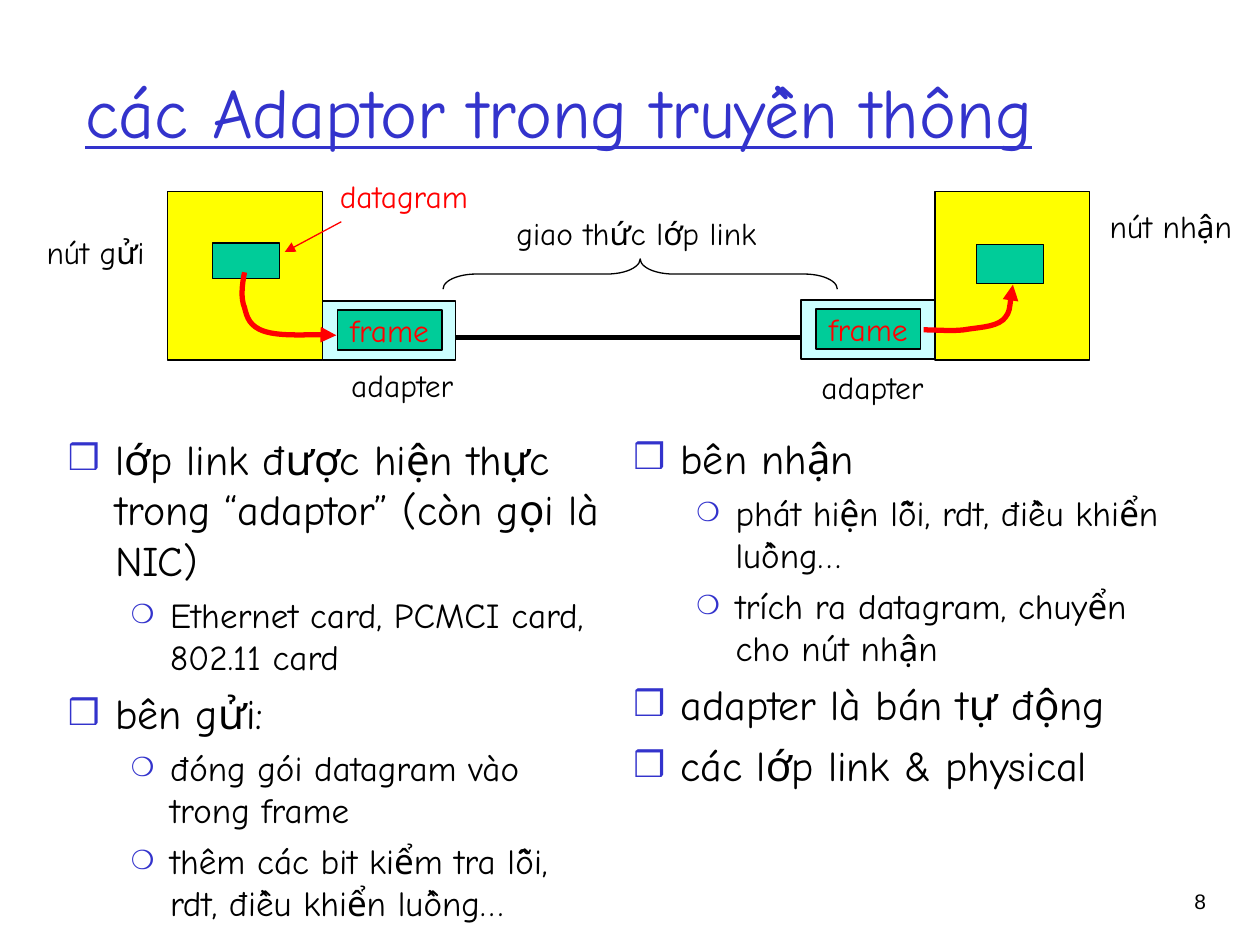
from dataclasses import dataclass

from lxml.etree import SubElement
from pptx import Presentation
from pptx.dml.color import RGBColor
from pptx.enum.shapes import MSO_CONNECTOR as Connector, MSO_SHAPE as Shape
from pptx.enum.text import MSO_ANCHOR as Anchor, MSO_AUTO_SIZE as AutoSize, PP_ALIGN as Align
from pptx.oxml.ns import qn
from pptx.util import Cm, Pt

COLORS = {
    "blue": "3333CC", "black": "000000", "red": "FF0000",
    "yellow": "FFFF00", "cyan": "CCFFFF", "green": "00CC99",
}
FONT = "Comic Neue"


@dataclass
class Area:
    left: float
    top: float
    width: float
    height: float

    def lengths(self) -> list:
        return [Cm(v) for v in (self.left, self.top, self.width, self.height)]


@dataclass
class Label:
    text: str
    area: Area
    color: str = "black"


@dataclass
class Level:
    size: int
    margin: float
    hanging: float
    before: int
    mark: str
    mark_percent: int


LEVELS = [Level(24, 0.95, 0.95, 6, "❒", 85), Level(20, 2.06, 0.79, 5, "❍", 75)]


def rgb(name: str) -> RGBColor:
    return RGBColor.from_string(COLORS[name])


def add_run(para, text: str, size: int, color: str, font: str = FONT):
    span = para.add_run()
    span.text = text
    span.font.size = Pt(size)
    span.font.name = font
    span.font.color.rgb = rgb(color)
    return span


def add_box(page, area: Area, wrap: bool = True):
    frame = page.shapes.add_textbox(*area.lengths()).text_frame
    frame.word_wrap = wrap
    return frame


def add_label(page, label: Label) -> None:
    frame = add_box(page, label.area, wrap=False)
    frame.auto_size = AutoSize.SHAPE_TO_FIT_TEXT
    add_run(frame.paragraphs[0], label.text, 18, label.color)


def add_rect(page, area: Area, fill: str):
    rect = page.shapes.add_shape(Shape.RECTANGLE, *area.lengths())
    rect.shadow.inherit = False
    rect.fill.solid()
    rect.fill.fore_color.rgb = rgb(fill)
    style_line(rect, "black", 0.75)
    return rect


def style_line(shape, color: str, width: float, arrow: bool = False) -> None:
    shape.line.color.rgb = rgb(color)
    shape.line.width = Pt(width)
    if arrow:
        SubElement(shape.line._get_or_add_ln(), qn("a:tailEnd"), type="triangle")


def add_line(page, start: tuple, end: tuple, color: str, width: float,
             arrow: bool = False) -> None:
    ends = [Cm(v) for v in start + end]
    line = page.shapes.add_connector(Connector.STRAIGHT, *ends)
    style_line(line, color, width, arrow)
    SubElement(line._element.spPr, qn("a:effectLst"))


def add_curve_arrow(page, points: list) -> None:
    """Draw Bezier pieces: a start, then two controls and an end for each."""
    start, *rest = [(Cm(x), Cm(y)) for x, y in points]
    builder = page.shapes.build_freeform(*start)
    builder.add_line_segments(rest, close=False)
    curve = builder.convert_to_shape()
    curve.shadow.inherit = False
    curve.fill.background()
    style_line(curve, "red", 3, arrow=True)
    # Join every three straight segments into one cubic piece
    outline = next(curve._element.iter(qn("a:moveTo"))).getparent()
    segments = outline.findall(qn("a:lnTo"))
    for first in range(0, len(segments), 3):
        cubic = SubElement(outline, qn("a:cubicBezTo"))
        for segment in segments[first:first + 3]:
            cubic.append(segment[0])
            outline.remove(segment)


def add_adapter(page, left: float, top: float) -> None:
    add_rect(page, Area(left, top, 2.69, 1.19), "cyan")
    rect = add_rect(page, Area(left + 0.3, top + 0.18, 2.11, 0.81), "green")
    frame = rect.text_frame
    frame.word_wrap = False
    frame.vertical_anchor = Anchor.MIDDLE
    frame.paragraphs[0].alignment = Align.CENTER
    add_run(frame.paragraphs[0], "frame", 18, "red")


def add_node(page, left: float, datagram: Area) -> None:
    add_rect(page, Area(left, 3.86, 3.12, 3.4), "yellow")
    add_rect(page, datagram, "green")


def add_bullets(page, area: Area, items: list) -> None:
    frame = add_box(page, area)
    for index, (depth, text) in enumerate(items):
        level = LEVELS[depth]
        para = frame.add_paragraph() if index else frame.paragraphs[0]
        para.level = depth
        props = para._p.get_or_add_pPr()
        props.set("marL", str(Cm(level.margin)))
        props.set("indent", str(-Cm(level.hanging)))
        mark_color = SubElement(props, qn("a:buClr"))
        SubElement(mark_color, qn("a:srgbClr"), val=COLORS["blue"])
        SubElement(props, qn("a:buSzPct"), val=str(level.mark_percent * 1000))
        SubElement(props, qn("a:buFont"), typeface="Arial")
        SubElement(props, qn("a:buChar"), char=level.mark)
        if index:
            para.space_before = Pt(level.before)
        add_run(para, text, level.size, "black")


def main() -> None:
    deck = Presentation()
    deck.slide_width, deck.slide_height = Cm(25.4), Cm(19.05)
    page = deck.slides.add_slide(deck.slide_layouts[6])

    # Title
    title = add_box(page, Area(1.47, 0.64, 21.59, 3.18))
    title.vertical_anchor = Anchor.MIDDLE
    heading = add_run(title.paragraphs[0], "các Adaptor trong truyền thông", 40, "blue")
    heading.font.underline = True

    # Bullet columns
    add_bullets(page, Area(1.12, 8.61, 11.33, 10.44), [
        (0, "lớp link được hiện thực trong “adaptor” (còn gọi là NIC)"),
        (1, "Ethernet card, PCMCI card, 802.11 card"),
        (0, "bên gửi:"),
        (1, "đóng gói datagram vào trong frame"),
        (1, "thêm các bit kiểm tra lỗi, rdt, điều khiển luồng…"),
    ])
    add_bullets(page, Area(12.52, 8.59, 11.35, 8.31), [
        (0, "bên nhận"),
        (1, "phát hiện lỗi, rdt, điều khiển luồng…"),
        (1, "trích ra datagram, chuyển cho nút nhận"),
        (0, "adapter là bán tự động"),
        (0, "các lớp link & physical"),
    ])

    # Nodes, adapters and the link between them
    add_adapter(page, 6.5, 6.07)
    add_line(page, (9.17, 6.81), (16.18, 6.81), "black", 3)
    add_node(page, 18.85, Area(19.69, 4.93, 1.35, 0.79))
    add_node(page, 3.38, Area(4.29, 4.9, 1.35, 0.71))
    add_adapter(page, 16.15, 6.05)

    # Brace over the link
    brace = page.shapes.add_shape(Shape.LEFT_BRACE, *Area(12.6, 1.55, 0.61, 7.95).lengths())
    brace.rotation = 90
    brace.adjustments[0] = 1.1
    brace.shadow.inherit = False
    brace.fill.background()
    style_line(brace, "black", 0.75)

    # Arrows
    add_line(page, (6.88, 4.47), (5.74, 5.08), "red", 0.75, arrow=True)
    add_curve_arrow(page, [
        (4.93, 5.49), (4.88, 5.74), (4.85, 6.02), (4.93, 6.2), (4.98, 6.4),
        (5.03, 6.58), (5.33, 6.68), (5.64, 6.78), (6.53, 6.73), (6.78, 6.76)])
    add_curve_arrow(page, [
        (18.62, 6.65), (18.9, 6.65), (19.18, 6.68), (19.43, 6.65), (19.71, 6.6),
        (20.04, 6.6), (20.22, 6.45), (20.37, 6.3), (20.4, 5.84), (20.42, 5.74)])

    # Diagram labels
    for label in (
        Label("nút gửi", Area(0.69, 4.57, 2.49, 1.02)),
        Label("nút nhận", Area(22.12, 4.04, 2.97, 1.02)),
        Label("datagram", Area(6.6, 3.45, 3.12, 1.02), "red"),
        Label("adapter", Area(6.83, 7.26, 2.59, 1.02)),
        Label("adapter", Area(16.31, 7.29, 2.59, 1.02)),
        Label("giao thức lớp link", Area(10.16, 4.19, 5.4, 1.02)),
    ):
        add_label(page, label)

    # Page number
    number = add_box(page, Area(22.68, 17.78, 1.88, 1.27)).paragraphs[0]
    number.alignment = Align.RIGHT
    add_run(number, "8", 12, "black", "Arial")

    deck.save("out.pptx")


if __name__ == "__main__":
    main()
